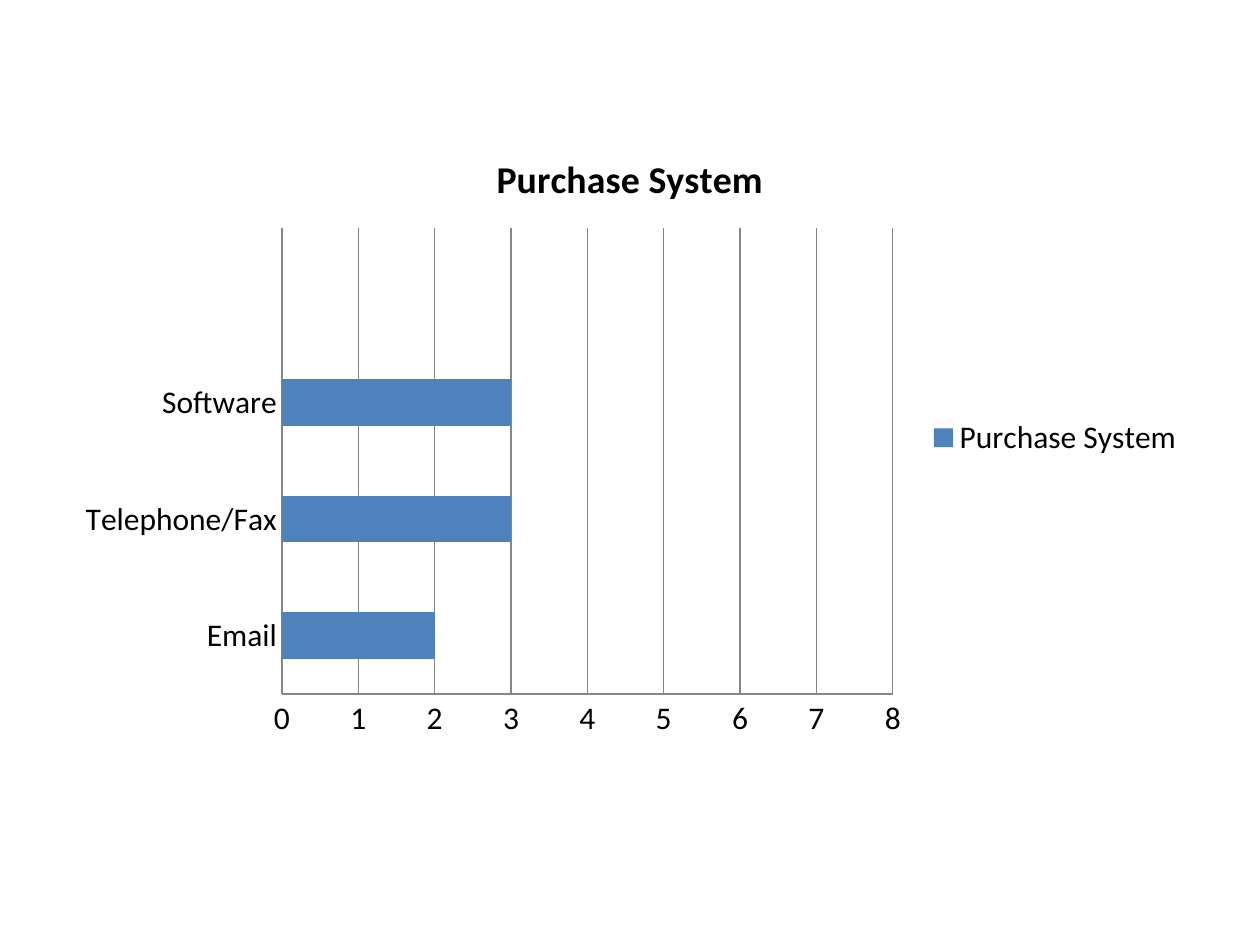
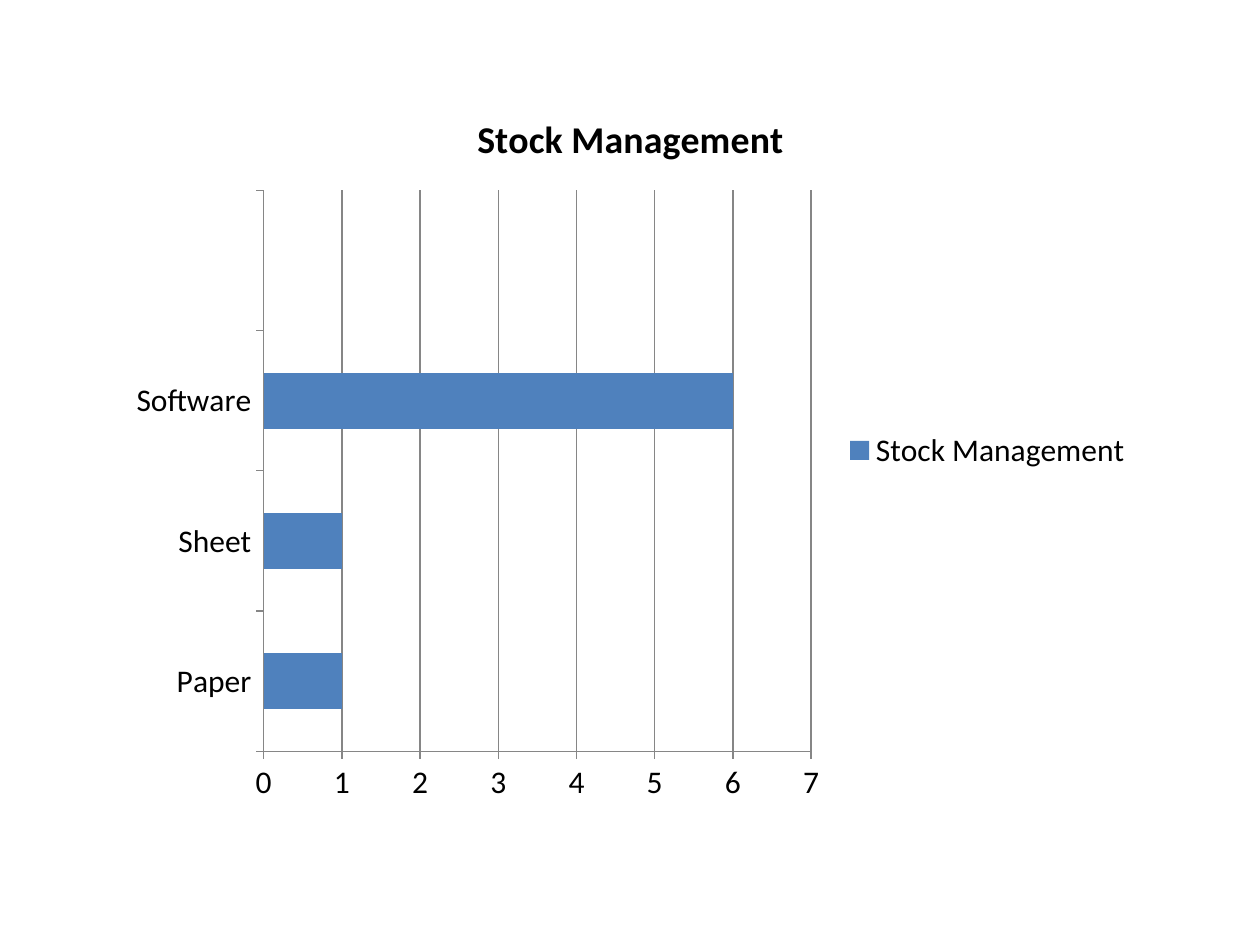
import pptx
import pptx.chart.data
import pptx.dml.color
import pptx.enum.chart
import pptx.util

Inches = pptx.util.Inches
Pt = pptx.util.Pt
Tick = pptx.enum.chart.XL_TICK_MARK

THEME = {
    "font": "Calibri",
    "text": "000000",
    "bar": "4F81BD",
    "line": "868686",
    "text_size": 18,
    "title_size": 21.6,
    "line_width": 0.75,
    "gap_width": 150,
}

SURVEYS = [
    {
        "title": "Purchase System",
        "answers": [("Email", 2), ("Telephone/Fax", 3), ("Software", 3), ("", None)],
        "place": (0.5, 1, 9, 4.95),
        "maximum": 8,
        "tick": Tick.NONE,
    },
    {
        "title": "Stock Management",
        "answers": [("Paper", 1), ("Sheet", 1), ("Software", 6), ("", None)],
        "place": (0.92, 0.67, 8.17, 5.81),
        "maximum": 7,
        "tick": Tick.OUTSIDE,
    },
]


def color(name):
    return pptx.dml.color.RGBColor.from_string(THEME[name])


def style_font(font, size, bold=False):
    font.name = THEME["font"]
    font.size = Pt(THEME[size])
    font.bold = bold
    font.color.rgb = color("text")


def style_line(line):
    line.color.rgb = color("line")
    line.width = Pt(THEME["line_width"])


def style_title(chart, title):
    chart.has_title = True
    frame = chart.chart_title.text_frame
    frame.text = title
    style_font(frame.paragraphs[0].runs[0].font, "title_size", bold=True)


def style_axes(chart, survey):
    for axis in (chart.category_axis, chart.value_axis):
        axis.major_tick_mark = survey["tick"]
        axis.minor_tick_mark = Tick.NONE
        style_line(axis.format.line)
    chart.category_axis.has_major_gridlines = False
    values = chart.value_axis
    values.minimum_scale = 0
    values.maximum_scale = survey["maximum"]
    values.major_unit = 1
    values.has_major_gridlines = True
    style_line(values.major_gridlines.format.line)
    values.tick_labels.number_format = "General"
    values.tick_labels.number_format_is_linked = False


def add_survey_chart(page, survey):
    labels, counts = zip(*survey["answers"])
    data = pptx.chart.data.CategoryChartData()
    data.categories = labels
    data.add_series(survey["title"], counts)
    kind = pptx.enum.chart.XL_CHART_TYPE.BAR_CLUSTERED
    place = [Inches(length) for length in survey["place"]]
    chart = page.shapes.add_chart(kind, *place, data).chart

    style_font(chart.font, "text_size")
    style_title(chart, survey["title"])
    style_axes(chart, survey)
    chart.has_legend = True
    chart.legend.position = pptx.enum.chart.XL_LEGEND_POSITION.RIGHT
    chart.legend.include_in_layout = False

    plot = chart.plots[0]
    plot.gap_width = THEME["gap_width"]
    plot.vary_by_categories = False
    bars = plot.series[0].format.fill
    bars.solid()
    bars.fore_color.rgb = color("bar")


deck = pptx.Presentation()
deck.slide_width = Inches(10)
deck.slide_height = Inches(7.5)
blank_layout = deck.slide_layouts[6]
for survey in SURVEYS:
    add_survey_chart(deck.slides.add_slide(blank_layout), survey)
deck.save("out.pptx")
